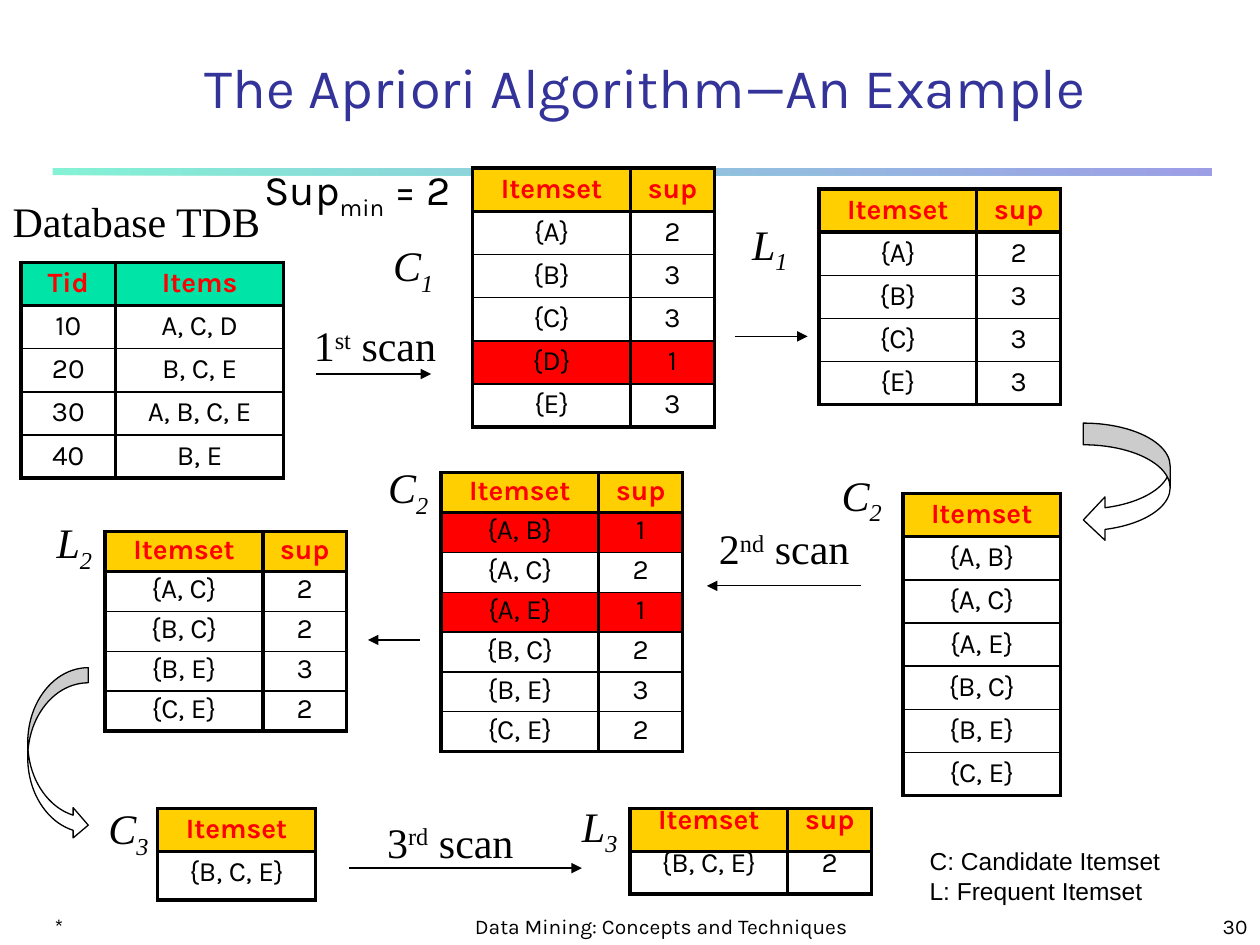
from lxml import etree
from pptx import Presentation, util as u
from pptx.dml.color import RGBColor
from pptx.enum import shapes, text
from pptx.oxml import ns

Cm, Pt = u.Cm, u.Pt
COLORS = {"black": "000000", "white": "FFFFFF", "title": "333399", "red": "FF0000",
          "gold": "FFCF01", "green": "00E4A8", "blue": "3333CC"}
RGB = {name: RGBColor.from_string(value) for name, value in COLORS.items()}
LEFT, CENTER, RIGHT = text.PP_ALIGN.LEFT, text.PP_ALIGN.CENTER, text.PP_ALIGN.RIGHT
TOP, MIDDLE, BOTTOM = text.MSO_ANCHOR.TOP, text.MSO_ANCHOR.MIDDLE, text.MSO_ANCHOR.BOTTOM
SUB, SUPER = -25000, 30000

prs = Presentation()
prs.slide_width, prs.slide_height = Cm(25.4), Cm(19.05)
s = prs.slides.add_slide(prs.slide_layouts[6])


def add_run(p, words, color="black", baseline=0, **fmt):
    r = p.add_run()
    r.text = words
    for name, value in fmt.items():
        setattr(r.font, name, value)
    r.font.color.rgb = RGB[color]
    if baseline:
        r.font._element.set("baseline", str(baseline))


def add_text(box, paragraphs, align=CENTER, anchor=MIDDLE, **fmt):
    tf = s.shapes.add_textbox(*map(Cm, box)).text_frame
    tf.word_wrap = align != CENTER
    tf.vertical_anchor = anchor
    for i, runs in enumerate(paragraphs):
        p = tf.paragraphs[0] if i == 0 else tf.add_paragraph()
        p.alignment = align
        for words, baseline in runs:
            add_run(p, words, baseline=baseline, **fmt)


bar = s.shapes.add_shape(shapes.MSO_SHAPE.RECTANGLE, Cm(1.06), Cm(3.39), Cm(23.37), Cm(0.14))
bar.shadow.inherit = False
bar.line.fill.background()
bar.fill.gradient()
bar.fill.gradient_angle = 0
for stop, color, position in zip(bar.fill.gradient_stops, ("green", "blue"), (0, 1)):
    stop.color.rgb = RGB[color]
    stop.position = position
for clr in bar._element.spPr.iter(ns.qn("a:srgbClr")):
    etree.SubElement(clr, ns.qn("a:alpha")).set("val", "47000")

footer = {"anchor": BOTTOM, "size": Pt(12), "name": "Karla"}
for x, w, words, align in [(0.85, 5.29, "*", LEFT),
                           (9.31, 8.04, "Data Mining: Concepts and Techniques", CENTER),
                           (20.11, 5.29, "30", RIGHT)]:
    add_text((x, 17.99, w, 1.06), [[(words, 0)]], align, **footer)

add_text((2.33, 0.85, 21.64, 1.69), [[("The Apriori Algorithm—An Example ", 0)]],
         anchor=BOTTOM, color="title", size=Pt(32), name="Karla")
add_text((5.08, 3.18, 4.87, 1.27), [[("Sup", 0), ("min", SUB), (" = 2", 0)]],
         LEFT, TOP, size=Pt(24), name="Karla")
add_text((18.49, 16.94, 5.29, 1.45),
         [[("C: Candidate Itemset", 0)], [("L: Frequent Itemset", 0)]],
         LEFT, TOP, size=Pt(14), name="Arial")

serif = {"size": Pt(24), "name": "Times New Roman"}
add_text((0, 3.81, 5.5, 1.27), [[("Database TDB", 0)]], **serif)
for x, y, w, number, suffix in [(6.05, 6.32, 3.02, "1", "st"), (14.2, 10.41, 3.22, "2", "nd"),
                                (7.52, 16.33, 3.12, "3", "rd")]:
    add_text((x, y, w, 1.27), [[(number, 0), (suffix, SUPER), (" scan", 0)]], **serif)
for x, y, letter, index in [(7.67, 4.78, "C", "1"), (14.86, 4.34, "L", "1"),
                            (0.84, 10.36, "L", "2"), (7.57, 9.25, "C", "2"),
                            (16.71, 9.4, "C", "2"), (1.93, 16.13, "C", "3"),
                            (11.43, 16.08, "L", "3")]:
    add_text((x, y, 1.32, 1.27), [[(letter, 0), (index, SUB)]], italic=True, **serif)

for x1, x2, y in [(6.38, 8.69, 7.54), (17.35, 14.25, 11.81), (7.04, 11.73, 17.5),
                  (14.81, 16.28, 6.78), (8.46, 7.42, 12.9)]:
    c = s.shapes.add_connector(shapes.MSO_CONNECTOR.STRAIGHT, Cm(x1), Cm(y), Cm(x2), Cm(y))
    c.line.color.rgb = RGB["black"]
    c.line.width = Pt(0.75)
    etree.SubElement(c.line._get_or_add_ln(), ns.qn("a:tailEnd")).set("type", "triangle")
    etree.SubElement(c._element.spPr, ns.qn("a:effectLst"))

for kind, box in [(shapes.MSO_SHAPE.CURVED_LEFT_ARROW, (21.84, 8.53, 1.75, 2.39)),
                  (shapes.MSO_SHAPE.CURVED_RIGHT_ARROW, (0.56, 13.46, 1.22, 3.48))]:
    sp = s.shapes.add_shape(kind, *map(Cm, box))
    sp.shadow.inherit = False
    for i, value in enumerate((0.25, 0.5, 0.25)):
        sp.adjustments[i] = value
    sp.fill.solid()
    sp.fill.fore_color.rgb = RGB["white"]
    sp.line.color.rgb = RGB["black"]
    sp.line.width = Pt(0.75)

TALL, SHORT = 0.86, 0.8
ITEMSET, SUP = ("Itemset", 3.18), ("sup", 1.69)
TDB = [("Tid", 1.91), ("Items", 3.39)]
PAIRS = ["{A, B}", "{A, C}", "{A, E}", "{B, C}", "{B, E}", "{C, E}"]
TRIPLE = "{B, C, E}"
tables = [
    (0.42, 5.29, TALL, 0.9, 0.13, TDB,
     [("10", "A, C, D"), ("20", "B, C, E"), ("30", "A, B, C, E"), ("40", "B, E")]),
    (9.53, 3.39, TALL, 0.9, 0.13, [ITEMSET, SUP],
     [("{A}", "2"), ("{B}", "3"), ("{C}", "3"), ("{D}", "1"), ("{E}", "3")]),
    (16.51, 3.81, TALL, 0.9, 0.13, [ITEMSET, SUP],
     [("{A}", "2"), ("{B}", "3"), ("{C}", "3"), ("{E}", "3")]),
    (18.2, 9.95, TALL, 0.9, 0.13, [ITEMSET], [(pair,) for pair in PAIRS]),
    (8.89, 9.53, SHORT, 0.8, 0.13, [ITEMSET, SUP], list(zip(PAIRS, "121232"))),
    (2.12, 10.72, SHORT, 0.8, 0.13, [ITEMSET, SUP],
     [("{A, C}", "2"), ("{B, C}", "2"), ("{B, E}", "3"), ("{C, E}", "2")]),
    (3.18, 16.3, TALL, 0.9, 0.13, [ITEMSET], [(TRIPLE,)]),
    (12.7, 16.3, TALL, 0.8, 0, [ITEMSET, SUP], [(TRIPLE, "2")]),
]
for x, y, height, spacing, margin, columns, body in tables:
    rows = [[name for name, _ in columns]] + body
    last = len(rows) - 1
    width = sum(w for _, w in columns)
    t = s.shapes.add_table(len(rows), len(columns), Cm(x), Cm(y), Cm(width),
                           Cm(height * len(rows))).table
    t.horz_banding = t.first_row = False
    for column, (_, w) in zip(t.columns, columns):
        column.width = Cm(w)
    for i, row in enumerate(rows):
        t.rows[i].height = Cm(height)
        pruned = row[-1] == "1"
        for j, words in enumerate(row):
            cell = t.cell(i, j)
            insets = {"margin_left": 0, "margin_right": 0,
                      "margin_top": Cm(margin), "margin_bottom": Cm(margin)}
            for name, value in insets.items():
                setattr(cell, name, value)
            borders = {"a:lnL": 2.25, "a:lnR": 2.25, "a:lnT": 2.25 if i <= 1 else 1,
                       "a:lnB": 2.25 if i in (0, last) else 1}
            for tag, points in borders.items():
                ln = etree.SubElement(cell._tc.get_or_add_tcPr(), ns.qn(tag), w=str(Pt(points)))
                fill = etree.SubElement(ln, ns.qn("a:solidFill"))
                etree.SubElement(fill, ns.qn("a:srgbClr"), val=COLORS["black"])
            if i == 0:
                color = "green" if columns is TDB else "gold"
                cell.fill.solid()
                cell.fill.fore_color.rgb = RGB[color]
            elif pruned:
                cell.fill.solid()
                cell.fill.fore_color.rgb = RGB["red"]
            else:
                cell.fill.background()
            p = cell.text_frame.paragraphs[0]
            p.alignment = CENTER
            p.line_spacing = spacing
            add_run(p, words, "red" if i == 0 else "black",
                    size=Pt(16), name="Karla", bold=i == 0)
    if len(columns) == 1 and last == 1:
        t.rows[last].height = Cm(0.97)

prs.save("out.pptx")
